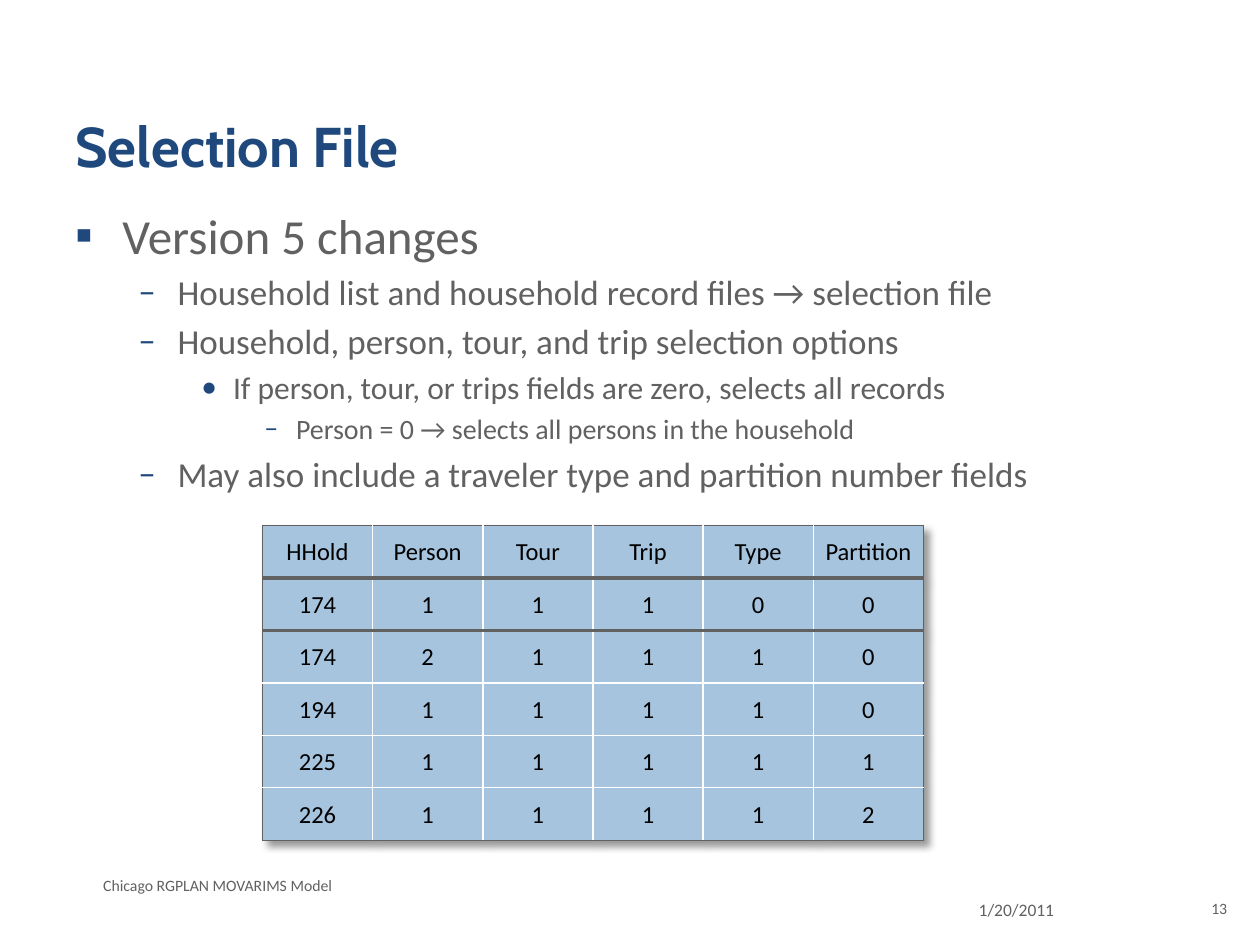
from lxml.etree import SubElement
from pptx import Presentation
from pptx.dml.color import RGBColor
from pptx.enum.text import MSO_ANCHOR as Anchor, PP_ALIGN as Align
from pptx.oxml.ns import qn
from pptx.util import Cm, Pt

NAVY, GRAY, WHITE, BLACK, BLUE = "1F497D", "616161", "FFFFFF", "000000", "A6C4DE"

LEVELS = [
    (28, 0.95, 0.95, "▪"),
    (20, 2.06, 0.79, "–"),
    (18, 3.18, 0.64, "•"),
    (16, 4.45, 0.64, "–"),
]
CHANGES = [
    (0, "Version 5 changes"),
    (1, "Household list and household record files → selection file"),
    (1, "Household, person, tour, and trip selection options"),
    (2, "If person, tour, or trips fields are zero, selects all records"),
    (3, "Person = 0 → selects all persons in the household"),
    (1, "May also include a traveler type and partition number fields"),
]
SELECTION = [
    ("HHold", "Person", "Tour", "Trip", "Type", "Partition"),
    (174, 1, 1, 1, 0, 0),
    (174, 2, 1, 1, 1, 0),
    (194, 1, 1, 1, 1, 0),
    (225, 1, 1, 1, 1, 1),
    (226, 1, 1, 1, 1, 2),
]
OUTER, INNER, HEAVY = (GRAY, 0.5), (WHITE, 1), (GRAY, 2.25)


def color(value):
    return RGBColor.from_string(value)


def add_xml(parent, tag, **attributes):
    return SubElement(parent, qn(tag), attributes)


def write(paragraph, text, size=10, font="Calibri", fill=GRAY, bold=False, align=Align.LEFT):
    paragraph.alignment = align
    run = paragraph.add_run()
    run.text = str(text)
    run.font.size = Pt(size)
    run.font.name = font
    run.font.bold = bold
    run.font.color.rgb = color(fill)


def add_box(slide, left, top, width, height, anchor=Anchor.TOP):
    box = slide.shapes.add_textbox(Cm(left), Cm(top), Cm(width), Cm(height))
    box.text_frame.word_wrap = True
    box.text_frame.vertical_anchor = anchor
    return box.text_frame


def add_label(slide, text, left, top, width, height, **text_format):
    frame = add_box(slide, left, top, width, height)
    write(frame.paragraphs[0], text, **text_format)


def add_title(slide, text):
    frame = add_box(slide, 1.27, 0.76, 22.86, 3.18, Anchor.BOTTOM)
    frame.margin_bottom = Cm(0.33)
    write(frame.paragraphs[0], text, size=32, font="Cabin", fill=NAVY, bold=True)


def set_bullet(paragraph, indent, hanging, character):
    properties = paragraph._p.get_or_add_pPr()
    properties.set("marL", str(Cm(indent)))
    properties.set("indent", str(-Cm(hanging)))
    add_xml(add_xml(properties, "a:spcBef"), "a:spcPct", val="20000")
    add_xml(add_xml(properties, "a:buClr"), "a:srgbClr", val=NAVY)
    add_xml(properties, "a:buFont", typeface="Calibri")
    add_xml(properties, "a:buChar", char=character)


def add_bullets(slide, items):
    frame = add_box(slide, 1.27, 4.01, 22.86, 13)
    for index, (level, text) in enumerate(items):
        paragraph = frame.add_paragraph() if index else frame.paragraphs[0]
        size, indent, hanging, character = LEVELS[level]
        paragraph.level = level
        set_bullet(paragraph, indent, hanging, character)
        write(paragraph, text, size=size)


def set_borders(cell, **borders):
    properties = cell._tc.get_or_add_tcPr()
    for side, (line_color, width) in borders.items():
        line = add_xml(properties, f"a:ln{side}", w=str(Pt(width)))
        add_xml(add_xml(line, "a:solidFill"), "a:srgbClr", val=line_color)


def add_table_shadow(table):
    effects = add_xml(table._tbl.tblPr, "a:effectLst")
    shadow = add_xml(effects, "a:outerShdw", blurRad=str(Pt(4)), dist=str(Pt(4)),
                     dir="2700000", algn="tl", rotWithShape="0")
    add_xml(add_xml(shadow, "a:srgbClr", val=BLACK), "a:alpha", val="40000")


def fill_cell(cell, text):
    cell.margin_left = cell.margin_right = cell.margin_top = Cm(0.03)
    cell.margin_bottom = 0
    cell.vertical_anchor = Anchor.MIDDLE
    write(cell.text_frame.paragraphs[0], text, size=14, fill=BLACK, align=Align.CENTER)


def add_selection_table(slide, rows):
    last_row, last_column = len(rows) - 1, len(rows[0]) - 1
    frame = slide.shapes.add_table(len(rows), len(rows[0]),
                                   Cm(5.29), Cm(10.59), Cm(13.33), Cm(6.35))
    table = frame.table
    table.first_row = table.horz_banding = False
    edges = [OUTER, HEAVY, HEAVY] + [INNER] * (last_row - 2) + [OUTER]
    for row, values in enumerate(rows):
        for column, value in enumerate(values):
            cell = table.cell(row, column)
            fill_cell(cell, value)
            set_borders(
                cell,
                L=INNER if column else OUTER,
                R=INNER if column < last_column else OUTER,
                T=edges[row],
                B=edges[row + 1],
            )
            cell.fill.solid()
            cell.fill.fore_color.rgb = color(BLUE)
    add_table_shadow(table)


def main():
    presentation = Presentation()
    presentation.slide_width, presentation.slide_height = Cm(25.4), Cm(19.05)
    slide = presentation.slides.add_slide(presentation.slide_layouts[6])
    add_title(slide, "Selection File")
    add_bullets(slide, CHANGES)
    add_label(slide, "1/20/2011", 19.48, 17.99, 3.81, 0.84)
    add_label(slide, "Chicago RGPLAN MOVARIMS Model", 1.83, 17.53, 16.51, 0.64, size=9)
    add_label(slide, "13", 23.92, 17.99, 1.07, 0.81, size=9, align=Align.RIGHT)
    add_selection_table(slide, SELECTION)
    presentation.save("out.pptx")


main()
